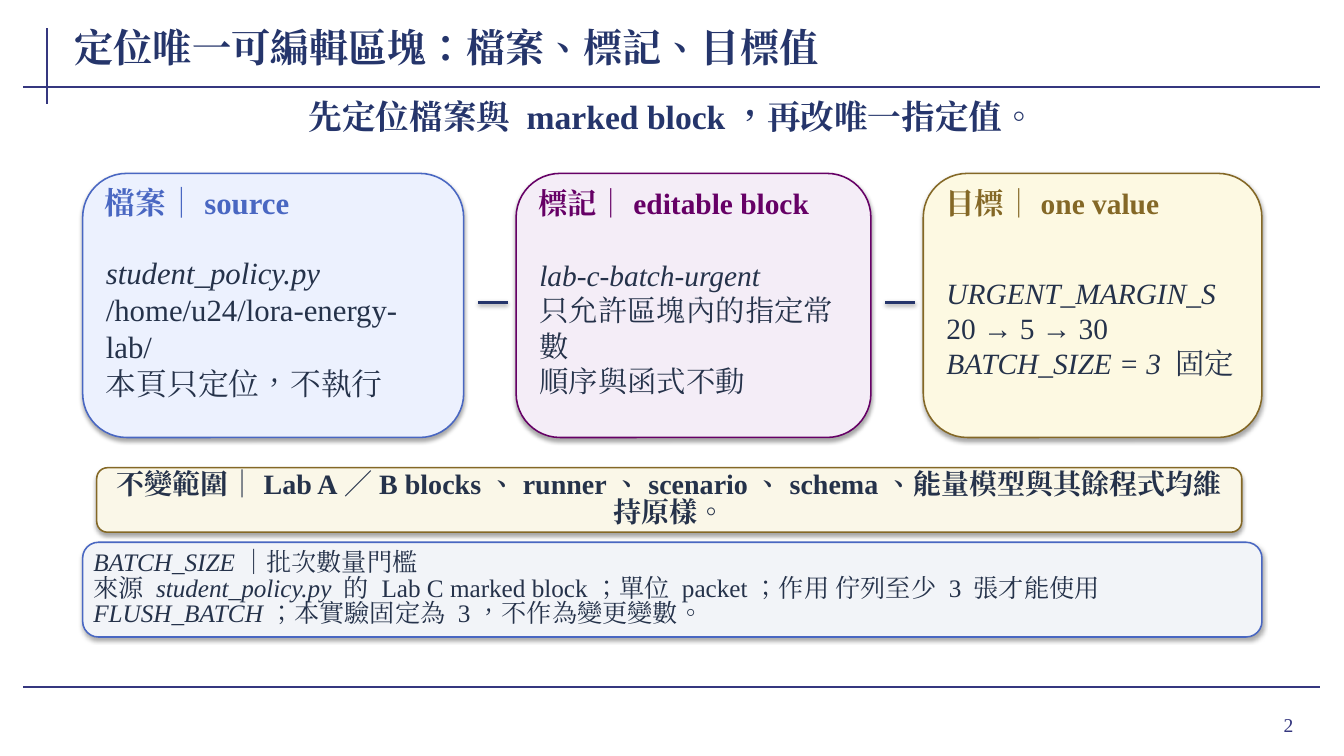
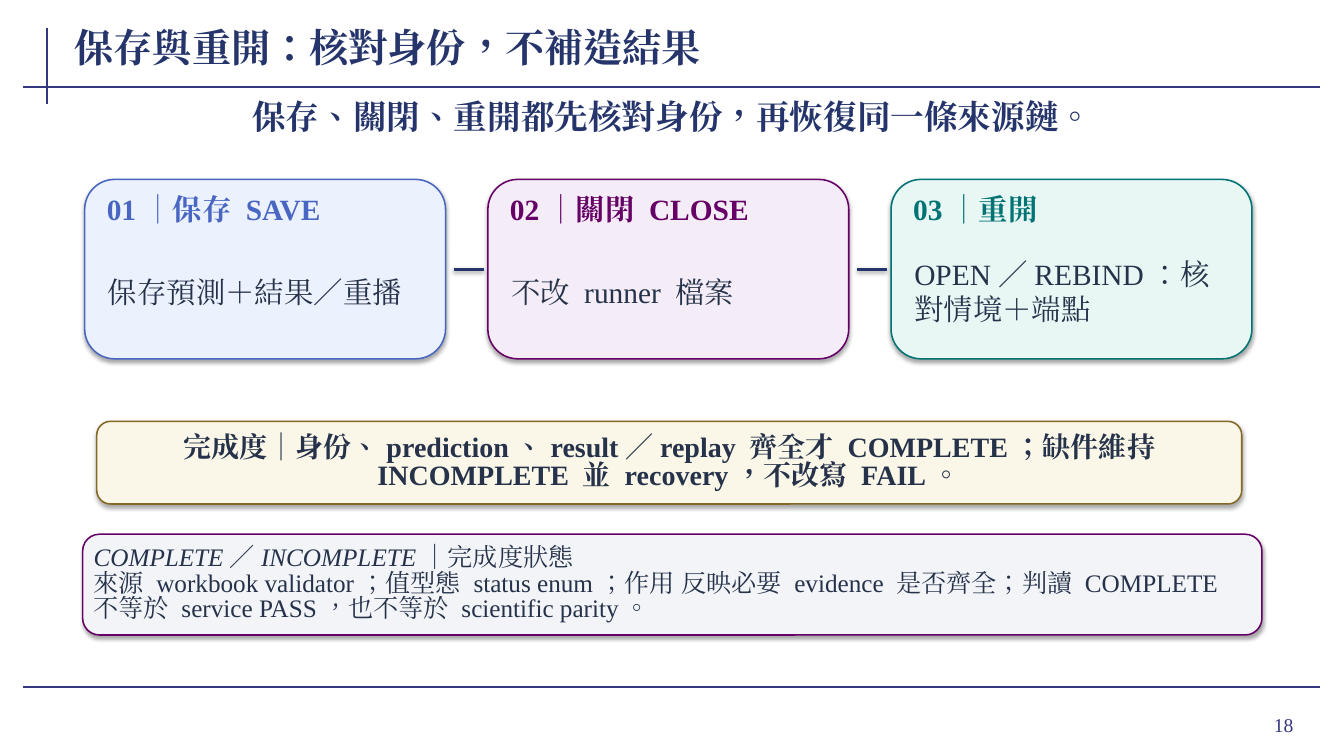
from lxml.etree import SubElement
from pptx import Presentation
from pptx.dml.color import RGBColor
from pptx.enum.lang import MSO_LANGUAGE_ID
from pptx.enum.shapes import MSO_CONNECTOR, MSO_SHAPE
from pptx.enum.text import MSO_ANCHOR, PP_ALIGN
from pptx.oxml.ns import qn
from pptx.util import Pt

FONT = "Times New Roman"
FRAME, NAVY, INK = "35377F", "25356B", "25324A"
BLUE, PURPLE, GOLD, TEAL = "4967C2", "660066", "846826", "007374"
CARD_FILLS = {BLUE: "ECF1FE", PURPLE: "F4EDF7", GOLD: "FDF9E2", TEAL: "E8F7F4"}
SCOPE_FILL, TERM_FILL = "FAF7E8", "F2F4F8"

FRAME_LINES = [(33.84, 20.16, 33.84, 74.16), (16.56, 61.92, 943.2, 61.92),
               (16.56, 491.04, 943.2, 491.04)]
DASH_LENGTH = 21.6

SLIDES = [
    {
        "number": "2",
        "title": "定位唯一可編輯區塊：檔案、標記、目標值",
        "message": "先定位檔案與 marked block，再改唯一指定值。",
        "left": 59.04, "top": 123.84, "height": 188.64, "gap": 37.44,
        "dash_offset": 10.08, "dash_y": 216,
        "cards": [
            (272.16, BLUE, 22, "檔案｜source",
             ["*student_policy.py*", "/home/u24/lora-energy-lab/", "本頁只定位，不執行"]),
            (253.44, PURPLE, 21, "標記｜editable block",
             ["*lab-c-batch-urgent*", "只允許區塊內的指定常數", "順序與函式不動"]),
            (241.92, GOLD, 21, "目標｜one value",
             ["*URGENT_MARGIN_S*", "20 → 5 → 30", "*BATCH_SIZE = 3* 固定"]),
        ],
        "scope": (334.08, 46.08,
                  "不變範圍｜Lab A／B blocks、runner、scenario、schema、能量模型與其餘程式均維持原樣。"),
        "term": (387.36, 67.68, BLUE, [
            "*BATCH_SIZE*｜批次數量門檻",
            "來源 *student_policy.py* 的 Lab C marked block；單位 packet；作用 佇列至少 3 張才能使用 "
            "*FLUSH_BATCH*；本實驗固定為 3，不作為變更變數。"]),
    },
    {
        "number": "18",
        "title": "保存與重開：核對身份，不補造結果",
        "message": "保存、關閉、重開都先核對身份，再恢復同一條來源鏈。",
        "left": 60.48, "top": 128.16, "height": 128.16, "gap": 30.24,
        "dash_offset": 5.76, "dash_y": 192.24,
        "cards": [
            (257.76, BLUE, 21, "01｜保存 SAVE", ["保存預測＋結果／重播"]),
            (257.76, PURPLE, 21, "02｜關閉 CLOSE", ["不改 runner 檔案"]),
            (257.76, TEAL, 21, "03｜重開", ["OPEN／REBIND：核對情境＋端點"]),
        ],
        "scope": (300.96, 59.04,
                  "完成度｜身份、prediction、result／replay 齊全才 COMPLETE；"
                  "缺件維持 INCOMPLETE 並 recovery，不改寫 FAIL。"),
        "term": (381.6, 72, PURPLE, [
            "*COMPLETE*／*INCOMPLETE*｜完成度狀態",
            "來源 workbook validator；值型態 status enum；作用 反映必要 evidence 是否齊全；"
            "判讀 COMPLETE 不等於 service PASS，也不等於 scientific parity。"]),
    },
]


def add_block(slide, box, lines=(), size=18, color=INK, bold=False, align=PP_ALIGN.LEFT,
              insets=(5.76, 2.88), spacing=None, fill=None, outline=None):
    """Add a text box, or a rounded panel if fill is given; *asterisks* mark italics."""
    box = [Pt(length) for length in box]
    if fill:
        shape = slide.shapes.add_shape(MSO_SHAPE.ROUNDED_RECTANGLE, *box)
        shape.fill.solid()
        shape.fill.fore_color.rgb = RGBColor.from_string(fill)
        shape.line.color.rgb = RGBColor.from_string(outline)
        shape.line.width = Pt(1.1)
        set_shadow(shape, distance=1.8, opacity=35)
    else:
        shape = slide.shapes.add_textbox(*box)
    frame = shape.text_frame
    frame.word_wrap = True
    frame.vertical_anchor = MSO_ANCHOR.MIDDLE
    frame.margin_left = frame.margin_right = Pt(insets[0])
    frame.margin_top = frame.margin_bottom = Pt(insets[1])
    for index, line in enumerate(lines):
        paragraph = frame.add_paragraph() if index else frame.paragraphs[0]
        paragraph.alignment = align
        paragraph.line_spacing = spacing
        for position, part in enumerate(line.split("*")):
            if not part:
                continue
            run = paragraph.add_run()
            run.text = part
            font = run.font
            font.name, font.size, font.bold = FONT, Pt(size), bold
            font.italic = position % 2 == 1
            font.color.rgb = RGBColor.from_string(color)
            font.language_id = MSO_LANGUAGE_ID.TRADITIONAL_CHINESE
            SubElement(run._r.rPr, qn("a:ea"), typeface=FONT)


def set_shadow(shape, distance=0, opacity=0):
    """Replace the theme's shadow by a soft one straight below, or by none."""
    effects = SubElement(shape._element.spPr, qn("a:effectLst"))
    if opacity:
        shadow = SubElement(effects, qn("a:outerShdw"), blurRad=str(Pt(3.1)),
                            dist=str(Pt(distance)), dir="5400000", rotWithShape="0")
        black = SubElement(shadow, qn("a:srgbClr"), val="000000")
        SubElement(black, qn("a:alpha"), val=str(opacity * 1000))


presentation = Presentation()
presentation.slide_width, presentation.slide_height = Pt(960), Pt(540)

for content in SLIDES:
    slide = presentation.slides.add_slide(presentation.slide_layouts[6])
    left, top, height = content["left"], content["top"], content["height"]
    lines = [(ends, FRAME, 1.5, 0) for ends in FRAME_LINES]

    add_block(slide, (861.12, 498.96, 69.84, 37.44), [content["number"]], 14, FRAME,
              align=PP_ALIGN.RIGHT, insets=(7.2, 3.6))
    add_block(slide, (51.84, 14.4, 745.2, 38.16), [content["title"]], 28, NAVY, True,
              insets=(1.44, 0))
    add_block(slide, (59.04, 66.96, 842.4, 32.4), [content["message"]], 24, NAVY, True,
              PP_ALIGN.CENTER, insets=(1.44, 0))

    for index, (width, color, size, label, body) in enumerate(content["cards"]):
        if index:
            start = left - content["gap"] + content["dash_offset"]
            ends = (start, content["dash_y"], start + DASH_LENGTH, content["dash_y"])
            lines.append((ends, NAVY, 2, 38))
        add_block(slide, (left, top, width, height), fill=CARD_FILLS[color], outline=color)
        add_block(slide, (left + 10.08, top + 5.76, width - 20.16, 30.24), [label],
                  size, color, True)
        add_block(slide, (left + 10.8, top + 38.88, width - 21.6, height - 46.08), body, size)
        left += width + content["gap"]

    for ends, color, weight, opacity in lines:
        line = slide.shapes.add_connector(MSO_CONNECTOR.STRAIGHT, *[Pt(end) for end in ends])
        line.line.color.rgb = RGBColor.from_string(color)
        line.line.width = Pt(weight)
        set_shadow(line, distance=1.6, opacity=opacity)

    scope_top, scope_height, scope = content["scope"]
    add_block(slide, (69.12, scope_top, 817.92, scope_height), [scope], 20, bold=True,
              align=PP_ALIGN.CENTER, insets=(5.76, 1.44), spacing=0.84,
              fill=SCOPE_FILL, outline=GOLD)
    term_top, term_height, term_color, term = content["term"]
    add_block(slide, (59.04, term_top, 842.4, term_height), term, 18, insets=(4.32, 1.44),
              spacing=0.84, fill=TERM_FILL, outline=term_color)

presentation.save("out.pptx")
